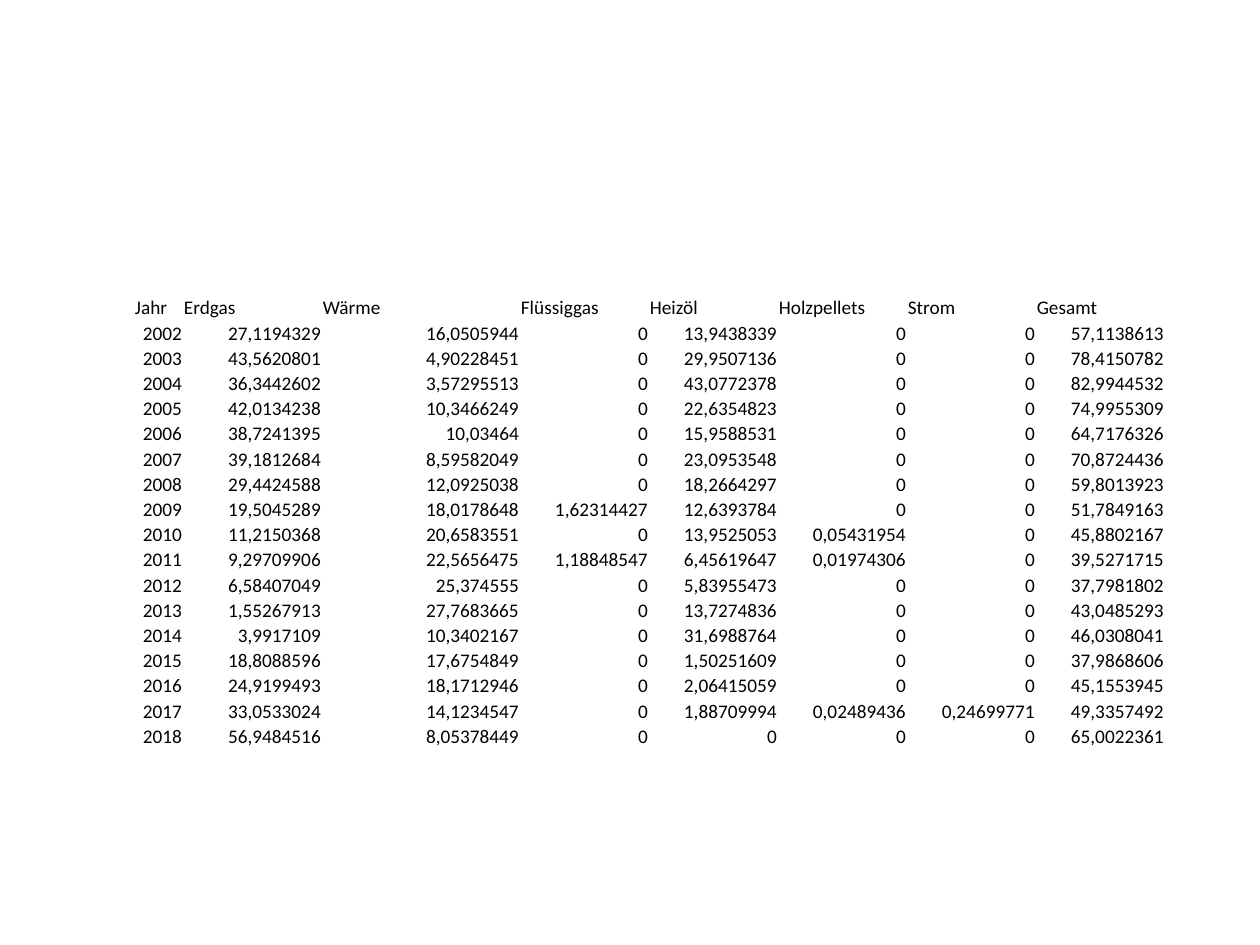
from dataclasses import dataclass

from pptx import Presentation
from pptx.dml.color import RGBColor
from pptx.enum.text import MSO_ANCHOR, PP_ALIGN
from pptx.util import Pt

PIXEL = 914400 // 126


@dataclass(frozen=True)
class Theme:
    font: str = "Calibri"
    size: int = 11
    ink: str = "000000"


@dataclass(frozen=True)
class Box:
    left: int
    top: int
    width: int
    height: int

    def emu(self):
        return [side * PIXEL for side in (self.left, self.top, self.width, self.height)]


THEME = Theme()
BLANK_LAYOUT = 6
TABLE_BOX = Box(134, 295, 1031, 454)
COLUMN_WIDTHS = [49, 139, 198] + [129] * 5
CELL_FORMAT = {
    "vertical_anchor": MSO_ANCHOR.BOTTOM,
    "margin_left": PIXEL,
    "margin_right": PIXEL,
    "margin_top": PIXEL,
    "margin_bottom": 0,
}
TABLE_FORMAT = {"first_row": False, "horz_banding": False}
FONT_FORMAT = {"name": THEME.font, "size": Pt(THEME.size), "bold": False}

HEADINGS = ["Jahr", "Erdgas", "Wärme", "Flüssiggas", "Heizöl", "Holzpellets", "Strom", "Gesamt"]
FIRST_YEAR = 2002
ENERGY = [
    "27,1194329 16,0505944 0 13,9438339 0 0 57,1138613",
    "43,5620801 4,90228451 0 29,9507136 0 0 78,4150782",
    "36,3442602 3,57295513 0 43,0772378 0 0 82,9944532",
    "42,0134238 10,3466249 0 22,6354823 0 0 74,9955309",
    "38,7241395 10,03464 0 15,9588531 0 0 64,7176326",
    "39,1812684 8,59582049 0 23,0953548 0 0 70,8724436",
    "29,4424588 12,0925038 0 18,2664297 0 0 59,8013923",
    "19,5045289 18,0178648 1,62314427 12,6393784 0 0 51,7849163",
    "11,2150368 20,6583551 0 13,9525053 0,05431954 0 45,8802167",
    "9,29709906 22,5656475 1,18848547 6,45619647 0,01974306 0 39,5271715",
    "6,58407049 25,374555 0 5,83955473 0 0 37,7981802",
    "1,55267913 27,7683665 0 13,7274836 0 0 43,0485293",
    "3,9917109 10,3402167 0 31,6988764 0 0 46,0308041",
    "18,8088596 17,6754849 0 1,50251609 0 0 37,9868606",
    "24,9199493 18,1712946 0 2,06415059 0 0 45,1553945",
    "33,0533024 14,1234547 0 1,88709994 0,02489436 0,24699771 49,3357492",
    "56,9484516 8,05378449 0 0 0 0 65,0022361",
]


def apply_format(target, values):
    for name, value in values.items():
        setattr(target, name, value)


def fill_cell(cell, text, alignment):
    apply_format(cell, CELL_FORMAT)
    cell.fill.background()
    para = cell.text_frame.paragraphs[0]
    para.alignment = alignment
    span = para.add_run()
    span.text = text
    apply_format(span.font, FONT_FORMAT)
    span.font.color.rgb = RGBColor.from_string(THEME.ink)


def add_energy_table(page, box):
    years = enumerate(ENERGY, FIRST_YEAR)
    rows = [HEADINGS] + [[str(year), *line.split()] for year, line in years]
    table = page.shapes.add_table(len(rows), len(HEADINGS), *box.emu()).table
    apply_format(table, TABLE_FORMAT)
    for column, width in zip(table.columns, COLUMN_WIDTHS):
        column.width = width * PIXEL
    for row_index, texts in enumerate(rows):
        alignment = PP_ALIGN.RIGHT if row_index else PP_ALIGN.LEFT
        for column_index, text in enumerate(texts):
            fill_cell(table.cell(row_index, column_index), text, alignment)


def build_deck():
    deck = Presentation()
    apply_format(deck, {"slide_width": 1260 * PIXEL, "slide_height": 945 * PIXEL})
    page = deck.slides.add_slide(deck.slide_layouts[BLANK_LAYOUT])
    add_energy_table(page, TABLE_BOX)
    deck.save("out.pptx")


build_deck()
